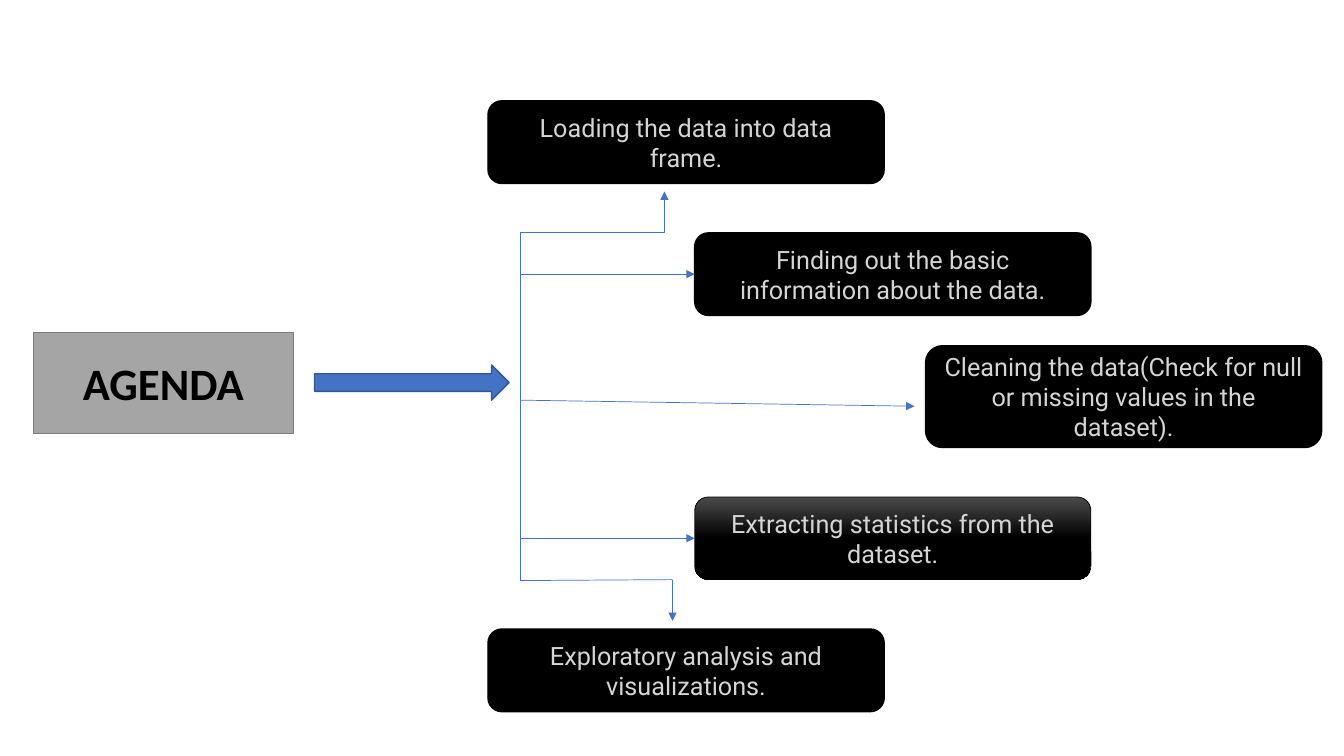
from dataclasses import dataclass

from lxml import etree
from pptx import Presentation
from pptx.dml.color import RGBColor
from pptx.enum.shapes import MSO_CONNECTOR, MSO_SHAPE
from pptx.enum.text import MSO_ANCHOR, PP_ALIGN
from pptx.oxml import parse_xml
from pptx.oxml.ns import nsdecls, qn
from pptx.util import Inches, Pt

RECTANGLE = MSO_SHAPE.RECTANGLE
ROUNDED = MSO_SHAPE.ROUNDED_RECTANGLE
RIGHT_ARROW = MSO_SHAPE.RIGHT_ARROW
STRAIGHT = MSO_CONNECTOR.STRAIGHT
MIDDLE = MSO_ANCHOR.MIDDLE
CENTER = PP_ALIGN.CENTER
LEFT_SIDE = 1


@dataclass(frozen=True)
class Theme:
    black: str = "000000"
    white: str = "FFFFFF"
    gray: str = "A5A5A5"
    gray_edge: str = "7A7A7A"
    blue: str = "4472C4"
    blue_edge: str = "325491"
    step_text: str = "D5D5D5"
    step_highlight: str = "4B4B4B"
    title_font: str = "Calibri"
    step_font: str = "Roboto"
    title_size: float = 32
    step_size: float = 18
    thin: float = 0.5
    outline: float = 0.75
    edge: float = 1


class AgendaSlide:
    def __init__(self, slide, theme):
        self.slide = slide
        self.theme = theme

    def shape(self, kind, box, fill, edge):
        shape = self.slide.shapes.add_shape(kind, *map(Inches, box))
        shape.shadow.inherit = False
        shape.fill.solid()
        shape.fill.fore_color.rgb = RGBColor.from_string(fill)
        shape.line.color.rgb = RGBColor.from_string(edge)
        shape.line.width = Pt(self.theme.edge)
        return shape

    def text(self, shape, words, font_name, size, color, bold=False):
        frame = shape.text_frame
        frame.word_wrap = True
        frame.vertical_anchor = MIDDLE
        paragraph = frame.paragraphs[0]
        paragraph.alignment = CENTER
        run = paragraph.add_run()
        run.text = words
        run.font.name = font_name
        run.font.size = Pt(size)
        run.font.bold = bold
        run.font.color.rgb = RGBColor.from_string(color)
        return run

    def title(self, box, words):
        theme = self.theme
        shape = self.shape(RECTANGLE, box, theme.gray, theme.gray_edge)
        run = self.text(shape, words, theme.title_font, theme.title_size,
                        theme.black, bold=True)
        outline = parse_xml(
            f'<a:ln {nsdecls("a")} w="{Pt(theme.outline)}"><a:solidFill>'
            f'<a:srgbClr val="{theme.white}"/></a:solidFill></a:ln>')
        run.font._element.insert(0, outline)

    def block_arrow(self, box):
        self.shape(RIGHT_ARROW, box, self.theme.blue, self.theme.blue_edge)

    def step(self, box, words, shaded=False):
        theme = self.theme
        shape = self.shape(ROUNDED, box, theme.black, theme.black)
        if shaded:
            self.shade(shape)
        self.text(shape, words, theme.step_font, theme.step_size, theme.step_text)
        return shape

    def shade(self, shape):
        """Fade from a light top edge to black at half height."""
        shape.fill.gradient()
        shape.fill.gradient_angle = 270
        stops = ((0, self.theme.step_highlight), (0.5, self.theme.black))
        for stop, (position, color) in zip(shape.fill.gradient_stops, stops):
            stop.position = position
            stop.color.rgb = RGBColor.from_string(color)
        shape.line.width = Pt(self.theme.thin)

    def line(self, start, end, arrow=False, target=None):
        """Draw a thin line, joined to the target's left side if one is given."""
        connector = self.slide.shapes.add_connector(
            STRAIGHT, *map(Inches, (*start, *end)))
        connector.line.color.rgb = RGBColor.from_string(self.theme.blue)
        connector.line.width = Pt(self.theme.thin)
        if arrow:
            head = etree.SubElement(connector.line._get_or_add_ln(), qn("a:tailEnd"))
            head.set("type", "triangle")
        etree.SubElement(connector._element.spPr, qn("a:effectLst"))
        if target is not None:
            connector.end_connect(target, LEFT_SIDE)


def main():
    presentation = Presentation()
    presentation.slide_width = Inches(13.33)
    presentation.slide_height = Inches(7.5)
    slide = presentation.slides.add_slide(presentation.slide_layouts[6])
    agenda = AgendaSlide(slide, Theme())

    agenda.title((0.33, 3.3, 2.58, 1), "AGENDA")
    agenda.block_arrow((3.12, 3.62, 1.93, 0.35))

    step_width, step_height = 3.93, 0.82
    outer_left, inner_left = 4.84, 6.89
    steps = [
        (outer_left, 1, step_height, "Loading the data into data frame.", False),
        (inner_left, 2.31, step_height,
         "Finding out the basic information about the data.", False),
        (9.18, 3.43, 1.01,
         "Cleaning the data(Check for null or missing values in the dataset).", False),
        (inner_left, 4.93, step_height, "Extracting statistics from the dataset.", True),
        (outer_left, 6.24, step_height, "Exploratory analysis and visualizations.", False),
    ]
    boxes = [agenda.step((left, top, step_width, height), words, shaded)
             for left, top, height, words, shaded in steps]

    trunk, trunk_top, trunk_bottom = 5.16, 2.31, 5.75
    upper_turn, lower_turn, rise = 6.59, 6.67, 0.41
    agenda.line((upper_turn, trunk_top), (upper_turn, trunk_top - rise), arrow=True)
    agenda.line((trunk, 3.97), (9.07, 4.03), arrow=True)
    agenda.line((lower_turn, trunk_bottom), (lower_turn, trunk_bottom + rise), arrow=True)
    for y, target in ((2.72, boxes[1]), (5.34, boxes[3])):
        agenda.line((trunk, y), (inner_left, y), arrow=True, target=target)
    agenda.line((upper_turn, trunk_top), (trunk, trunk_top))
    agenda.line((lower_turn, trunk_bottom), (trunk, 5.76))
    agenda.line((trunk, trunk_top), (trunk, trunk_bottom))

    presentation.save("out.pptx")


if __name__ == "__main__":
    main()
